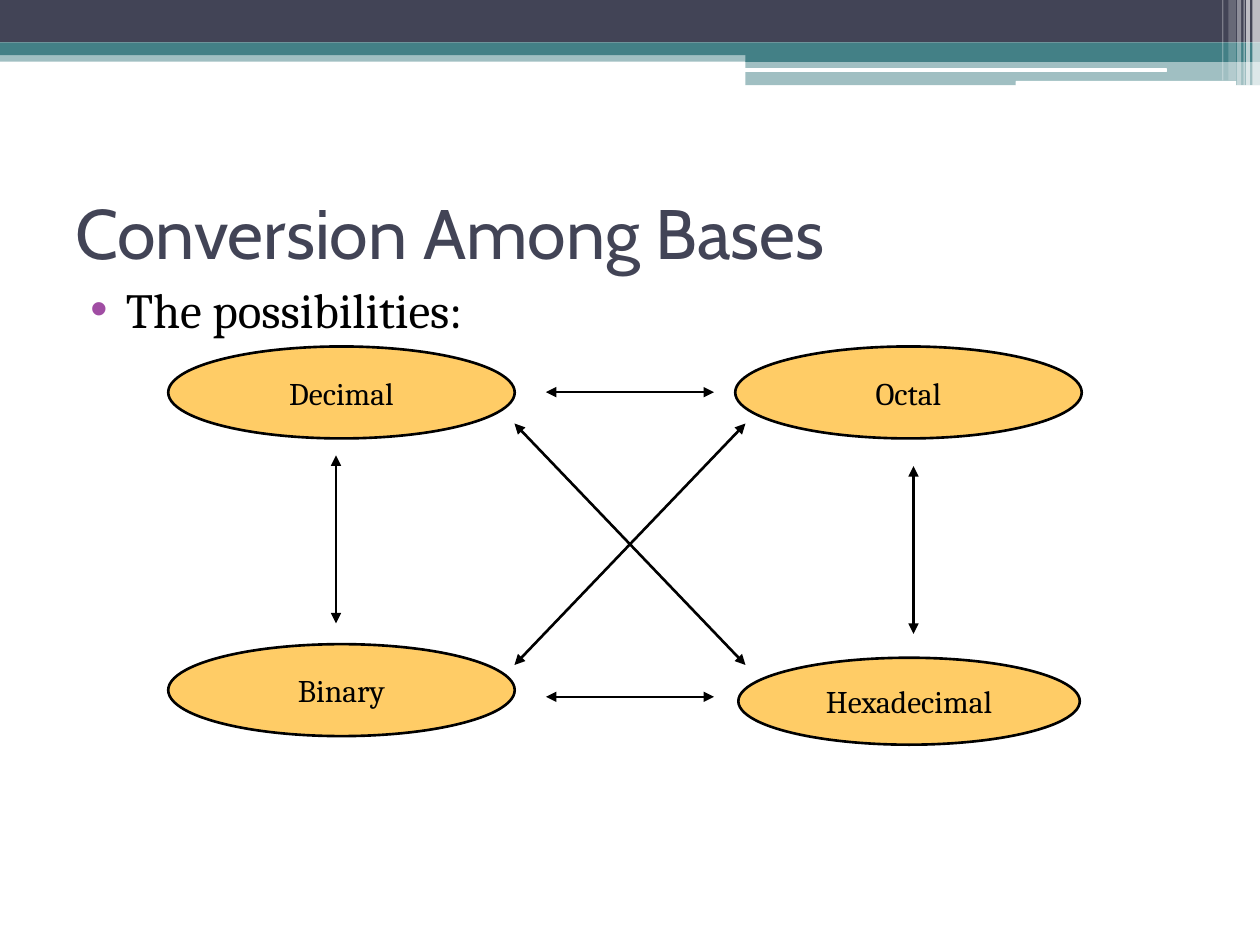
"""Build a slide showing the possible conversions among number bases."""
from lxml.etree import SubElement
from pptx import Presentation
from pptx.dml.color import RGBColor
from pptx.enum.shapes import MSO_CONNECTOR, MSO_SHAPE
from pptx.enum.text import MSO_ANCHOR, PP_ALIGN
from pptx.oxml.ns import qn
from pptx.util import Pt

NAVY = RGBColor(0x42, 0x44, 0x56)
TEAL = RGBColor(0x43, 0x80, 0x86)
WHITE = RGBColor(0xFF, 0xFF, 0xFF)
BLACK = RGBColor(0x00, 0x00, 0x00)
AMBER = RGBColor(0xFF, 0xCC, 0x66)
PURPLE = RGBColor(0xA0, 0x4D, 0xA3)


def add_filled(kind, box, color, opacity=100):
    shape = slide.shapes.add_shape(kind, *map(Pt, box))
    shape.shadow.inherit = False
    shape.fill.solid()
    shape.fill.fore_color.rgb = color
    shape.line.fill.background()
    if opacity < 100:
        color_element = shape.fill._xPr.find(qn("a:solidFill"))[0]
        SubElement(color_element, qn("a:alpha"), val=str(opacity * 1000))
    return shape


def write_text(shape, text, font_name, size, color, frame_format, paragraph_format):
    frame = shape.text_frame
    for name, value in frame_format.items():
        setattr(frame, name, value)
    paragraph = frame.paragraphs[0]
    for name, value in paragraph_format.items():
        setattr(paragraph, name, value)
    run = paragraph.add_run()
    run.text = text
    for name, value in {"name": font_name, "size": Pt(size)}.items():
        setattr(run.font, name, value)
    run.font.color.rgb = color
    return paragraph


presentation = Presentation()
presentation.slide_width = Pt(720)
presentation.slide_height = Pt(540)
slide = presentation.slides.add_slide(presentation.slide_layouts[6])

bands = [
    (MSO_SHAPE.RECTANGLE, (0, 28.8, 720, 6.48), TEAL, 50),
    (MSO_SHAPE.RECTANGLE, (0, 0, 720, 24.3), NAVY, 100),
    (MSO_SHAPE.RECTANGLE, (0, 24.3, 720, 7.2), TEAL, 100),
    (MSO_SHAPE.RECTANGLE, (426, 28.2, 294, 7.2), TEAL, 100),
    (MSO_SHAPE.RECTANGLE, (426, 34.7, 294, 14), TEAL, 50),
    (MSO_SHAPE.ROUNDED_RECTANGLE, (425.6, 39, 241.2, 2.16), WHITE, 100),
    (MSO_SHAPE.ROUNDED_RECTANGLE, (580.4, 46.2, 126, 2.88), WHITE, 100),
]
for kind, box, color, opacity in bands:
    add_filled(kind, box, color, opacity)

stripes = [
    (715.7, 4.3, 49, 65),
    (712.1, 2.2, 49, 65),
    (710.6, 0.7, 49, 60),
    (707, 2.2, 49, 40),
    (702, 4.3, 46, 20),
    (698.4, 0.7, 46, 30),
]
for left, width, height, opacity in stripes:
    add_filled(MSO_SHAPE.RECTANGLE, (left, 0, width, height), WHITE, opacity)

title = slide.shapes.add_textbox(Pt(36), Pt(90), Pt(648), Pt(84.24))
write_text(title, "Conversion Among Bases", "Cabin", 40, NAVY,
           {"word_wrap": True, "vertical_anchor": MSO_ANCHOR.MIDDLE}, {})

body = slide.shapes.add_textbox(Pt(36), Pt(156.24), Pt(648), Pt(340.56))
paragraph = write_text(body, "The possibilities:", "Cambria", 28, BLACK,
                       {"word_wrap": True}, {"space_before": Pt(0)})
properties = paragraph._p.get_or_add_pPr()
properties.set("marL", str(Pt(28.8)))
properties.set("indent", str(-Pt(20.16)))
bullet_color = SubElement(properties, qn("a:buClr"))
SubElement(bullet_color, qn("a:srgbClr"), val=str(PURPLE))
SubElement(properties, qn("a:buFont"), typeface="Arial")
SubElement(properties, qn("a:buChar"), char="•")

bases = {
    "Hexadecimal": (421.92, 375.84, 195.12, 49.68),
    "Decimal": (96.12, 198, 198, 52.56),
    "Octal": (420.12, 198, 198, 52.56),
    "Binary": (96.12, 368.1, 198, 52.56),
}
for base, box in bases.items():
    ellipse = add_filled(MSO_SHAPE.OVAL, box, AMBER)
    ellipse.line.color.rgb = BLACK
    ellipse.line.width = Pt(1.5)
    write_text(ellipse, base, "Cambria", 18, BLACK,
               {"word_wrap": False, "vertical_anchor": MSO_ANCHOR.MIDDLE},
               {"alignment": PP_ALIGN.CENTER})

arrows = [
    (294, 380, 426, 242),
    (426, 380, 294, 242),
    (522, 362.2, 522, 266.4),
    (192, 356.2, 192, 260.2),
    (312, 224.1, 408, 224.1),
    (312, 398.2, 408, 398.2),
]
for ends in arrows:
    arrow = slide.shapes.add_connector(MSO_CONNECTOR.STRAIGHT, *map(Pt, ends))
    arrow.line.color.rgb = BLACK
    arrow.line.width = Pt(1.5)
    line_element = arrow.line._get_or_add_ln()
    for end in ("a:headEnd", "a:tailEnd"):
        SubElement(line_element, qn(end), type="triangle")
    SubElement(arrow._element.spPr, qn("a:effectLst"))

presentation.save("out.pptx")
